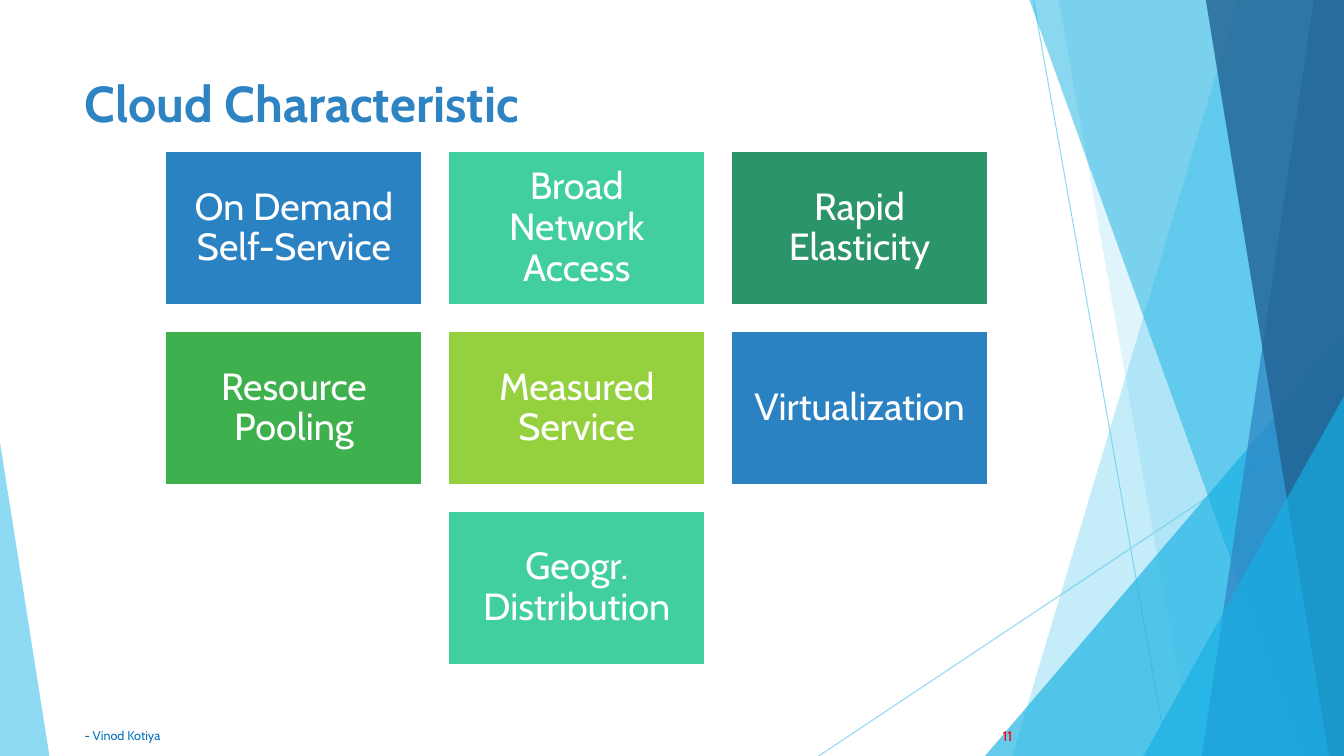
"""Builds the Cloud Characteristic slide with its faceted border and card grid."""
import pptx
import pptx.dml.color
import pptx.enum.shapes
import pptx.enum.text
import pptx.oxml
import pptx.oxml.ns
import pptx.util

Inches = pptx.util.Inches
Pt = pptx.util.Pt
SHAPE = pptx.enum.shapes.MSO_SHAPE
ALIGN = pptx.enum.text.PP_ALIGN
ANCHOR = pptx.enum.text.MSO_ANCHOR

WIDTH, HEIGHT = 13.33, 7.5
COLORS = {
    "sky": "5FCBEF", "cyan": "16B0E3", "blue": "2E83C3", "navy": "226292",
    "card_blue": "2B82C3", "mint": "41CEA1", "forest": "2B9468",
    "green": "3FB04E", "lime": "95D13E", "white": "FFFFFF",
    "footer": "0070C0", "red": "FF0000",
}
CARDS = [
    ("On Demand Self-Service", "card_blue", 0, 0),
    ("Broad Network Access", "mint", 1, 0),
    ("Rapid Elasticity", "forest", 2, 0),
    ("Resource Pooling", "green", 0, 1),
    ("Measured Service", "lime", 1, 1),
    ("Virtualization", "card_blue", 2, 1),
    ("Geogr. Distribution", "mint", 1, 2),
]


def rgb(color):
    return pptx.dml.color.RGBColor.from_string(COLORS[color])


def set_opacity(fill_parent, percent):
    color = next(fill_parent.iter(pptx.oxml.ns.qn("a:srgbClr")))
    alpha = pptx.oxml.parse_xml(
        f'<a:alpha {pptx.oxml.ns.nsdecls("a")} val="{percent * 1000}"/>')
    color.append(alpha)


def write(shape, text, size, color, bold=False, align=ALIGN.LEFT,
          anchor=ANCHOR.MIDDLE, inset=(0.1, 0.05), spacing=1.0):
    frame = shape.text_frame
    frame.word_wrap = True
    frame.auto_size = pptx.enum.text.MSO_AUTO_SIZE.NONE
    frame.vertical_anchor = anchor
    frame.margin_left = frame.margin_right = Inches(inset[0])
    frame.margin_top = frame.margin_bottom = Inches(inset[1])
    frame.text = text
    paragraph = frame.paragraphs[0]
    paragraph.alignment = align
    paragraph.line_spacing = spacing
    font = paragraph.runs[0].font
    font.name, font.size, font.bold = "Cabin", Pt(size), bold
    font.color.rgb = rgb(color)


def paint(shape, color, opacity):
    shape.shadow.inherit = False
    shape.fill.solid()
    shape.fill.fore_color.rgb = rgb(color)
    shape.line.fill.background()
    set_opacity(shape.fill._xPr, opacity)


def add_ray(slide, start, end):
    ray = slide.shapes.add_connector(
        pptx.enum.shapes.MSO_CONNECTOR.STRAIGHT, *map(Inches, start + end))
    ray.line.width = Pt(0.75)
    ray.line.color.rgb = rgb("sky")
    properties = ray._element.spPr
    set_opacity(properties, 70)
    properties.append(pptx.oxml.parse_xml(
        f'<a:effectLst {pptx.oxml.ns.nsdecls("a")}/>'))


def add_facet(slide, top_x, bottom_x, color, opacity):
    outline = slide.shapes.build_freeform(Inches(top_x), 0)
    corners = [(WIDTH, 0), (WIDTH, HEIGHT), (bottom_x, HEIGHT)]
    outline.add_line_segments(
        [(Inches(x), Inches(y)) for x, y in corners], close=True)
    paint(outline.convert_to_shape(), color, opacity)


def add_wedge(slide, left, top, width, apex, color, opacity):
    wedge = slide.shapes.add_shape(
        SHAPE.ISOSCELES_TRIANGLE, Inches(left), Inches(top),
        Inches(width), Inches(HEIGHT - top))
    wedge.adjustments[0] = apex
    paint(wedge, color, opacity)


def add_border(slide):
    add_ray(slide, (10.25, 0), (11.58, HEIGHT))
    add_ray(slide, (WIDTH, 4.03), (8.12, HEIGHT))
    add_facet(slide, 12.28, 10.04, "sky", 36)
    add_facet(slide, 10.5, 11.83, "sky", 20)
    add_wedge(slide, 9.77, 3.33, 3.56, 1, "cyan", 66)
    add_facet(slide, 10.21, 12.91, "cyan", 50)
    add_facet(slide, 13.03, 11.92, "blue", 70)
    add_facet(slide, 11.96, 13.18, "navy", 80)
    add_wedge(slide, 11.34, 3.93, 1.99, 1, "cyan", 66)
    add_wedge(slide, 0, 4.39, 0.49, 0, "sky", 70)


def add_card(slide, text, color, column, row):
    card = slide.shapes.add_shape(
        SHAPE.RECTANGLE, Inches(1.64 + 2.805 * column),
        Inches(1.5 + 1.785 * row), Inches(2.55), Inches(1.53))
    card.shadow.inherit = False
    card.fill.solid()
    card.fill.fore_color.rgb = rgb(color)
    card.line.color.rgb = rgb("white")
    card.line.width = Pt(1.5)
    write(card, text, 27, "white", align=ALIGN.CENTER,
          inset=(0.11, 0.11), spacing=0.9)


def add_footer(slide, text, left, width, **text_format):
    footer = slide.shapes.add_textbox(
        Inches(left), Inches(7.1), Inches(width), Inches(0.4))
    write(footer, text, **text_format)


def set_title(slide, text):
    title = slide.shapes.title
    title.left, title.top = Inches(0.74), Inches(0.67)
    title.width, title.height = Inches(9.4), Inches(1.44)
    write(title, text, 36, "blue", bold=True, anchor=ANCHOR.TOP)


def main():
    deck = pptx.Presentation()
    deck.slide_width, deck.slide_height = Inches(WIDTH), Inches(HEIGHT)
    slide = deck.slides.add_slide(deck.slide_layouts[5])
    add_border(slide)
    set_title(slide, "Cloud Characteristic")
    for card in CARDS:
        add_card(slide, *card)
    add_footer(slide, "- Vinod Kotiya", 0.74, 6.89, size=9, color="footer")
    add_footer(slide, "11", 9.39, 0.75, size=10, color="red", align=ALIGN.RIGHT)
    deck.save("out.pptx")


if __name__ == "__main__":
    main()
